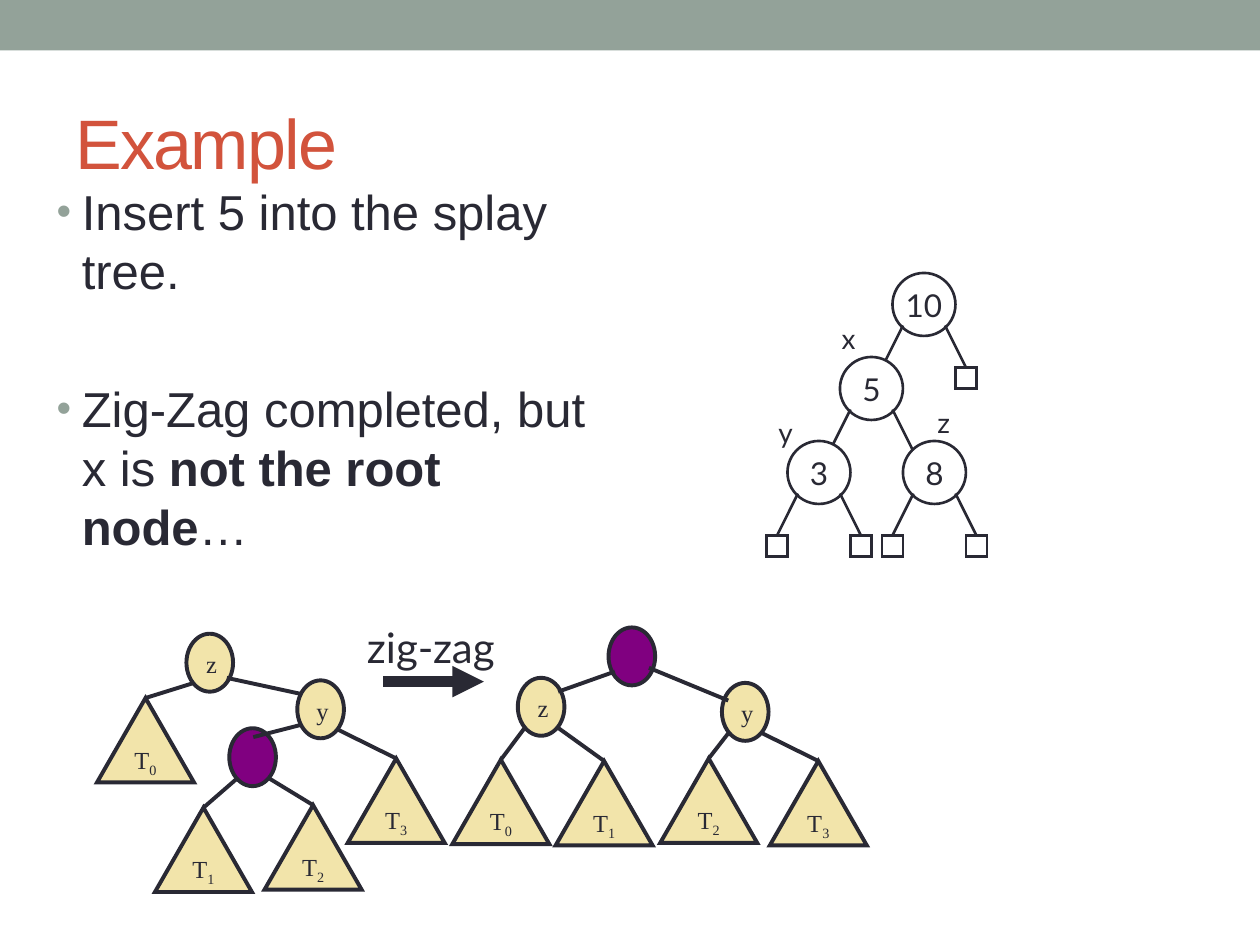
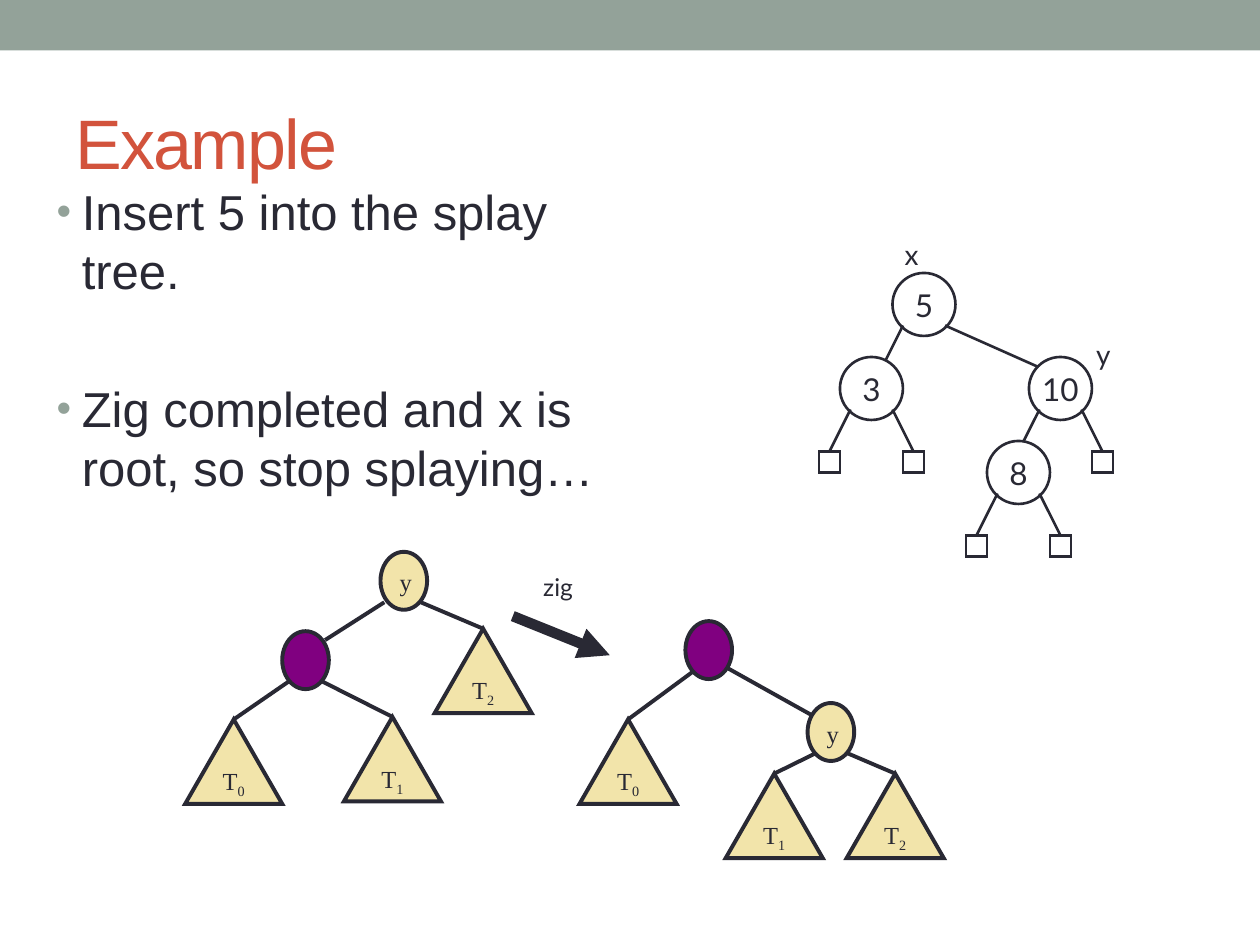
from dataclasses import dataclass
from typing import NamedTuple, Optional

from lxml import etree
from pptx import Presentation
from pptx.dml.color import RGBColor
from pptx.enum.shapes import MSO_CONNECTOR, MSO_SHAPE
from pptx.enum.text import MSO_ANCHOR, MSO_AUTO_SIZE, PP_ALIGN
from pptx.oxml.ns import qn
from pptx.util import Inches, Pt

RECT, OVAL, CONE = MSO_SHAPE.RECTANGLE, MSO_SHAPE.OVAL, MSO_SHAPE.ISOSCELES_TRIANGLE
LINE = MSO_CONNECTOR.STRAIGHT
MIDDLE, TOP = MSO_ANCHOR.MIDDLE, MSO_ANCHOR.TOP
CENTER, LEFT = PP_ALIGN.CENTER, PP_ALIGN.LEFT
FIXED = MSO_AUTO_SIZE.NONE

INK = RGBColor(0x29, 0x29, 0x34)
SAGE = RGBColor(0x93, 0xA2, 0x99)
RUST = RGBColor(0xD2, 0x53, 0x3C)
SAND = RGBColor(0xF2, 0xE4, 0xAA)
PLUM = RGBColor(0x80, 0x00, 0x80)
WHITE = RGBColor(0xFF, 0xFF, 0xFF)

HEAD = {"name": "Arial", "size": Pt(40)}
BODY = {"name": "Arial", "size": Pt(28)}
KEY = {"name": "Lato", "size": Pt(18)}
TAG = {"name": "Lato", "size": Pt(16)}
SERIF = {"name": "Times New Roman", "size": Pt(14)}
INSET = {"margin_left": Inches(0.13), "margin_top": Inches(0.07)}

THIN, THICK, HEAVY = 1.5, 2.25, 6
ROOT = (7 + 1 / 3, 2 + 5 / 12)
RING, LEAF = 0.5, 1 / 6
RISE, DROP = 2 / 3, 0.5
STEP, SIDE, BEND = 1 / 6, 1 / 3, 5 / 12


@dataclass
class Node:
    key: str
    shift: float = 0
    left: Optional["Node"] = None
    right: Optional["Node"] = None


class Label(NamedTuple):
    text: str
    x: float
    y: float
    wide: float
    high: float
    font: dict


class Knob(NamedTuple):
    text: str
    x: float
    y: float


class Sub(NamedTuple):
    index: str
    x: float
    y: float
    start: tuple[float, float]


class Edge(NamedTuple):
    x1: float
    y1: float
    x2: float
    y2: float


@dataclass
class Page:
    points: list
    tree: Node
    labels: list[Label]
    knobs: list[Knob]
    subs: list[Sub]
    edges: list[Edge]
    arrow: Edge


def apply(thing, values: dict) -> None:
    for name, value in values.items():
        setattr(thing, name, value)


def write(para, text: str, font: dict, color: RGBColor = INK):
    run = para.add_run()
    run.text = text
    apply(run.font, font)
    run.font.color.rgb = color
    return run


def center(shape):
    apply(shape.text_frame, {"word_wrap": False, "vertical_anchor": MIDDLE})
    para = shape.text_frame.paragraphs[0]
    para.alignment = CENTER
    return para


def place(shape, x: float, y: float, wide: float, high: float) -> None:
    apply(shape, {"left": Inches(x), "top": Inches(y),
                  "width": Inches(wide), "height": Inches(high)})


def draw(slide, kind, x: float, y: float, wide: float, high: float,
         fill: Optional[RGBColor], width: float = 0):
    shape = slide.shapes.add_shape(kind, Inches(x), Inches(y), Inches(wide), Inches(high))
    shape.shadow.inherit = False
    if fill is None:
        shape.fill.background()
    else:
        shape.fill.solid()
        shape.fill.fore_color.rgb = fill
    if width:
        shape.line.color.rgb = INK
        shape.line.width = Pt(width)
        etree.SubElement(shape.line._get_or_add_ln(), qn("a:miter"), lim="800000")
    else:
        shape.line.fill.background()
    return shape


def link(slide, edge: Edge, width: float, tip: bool = False):
    line = slide.shapes.add_connector(LINE, *(Inches(value) for value in edge))
    line.line.color.rgb = INK
    line.line.width = Pt(width)
    if tip:
        etree.SubElement(line.line._get_or_add_ln(), qn("a:tailEnd"), type="triangle")
    etree.SubElement(line._element.spPr, qn("a:effectLst"))
    return line


def grow(slide, node: Node, x: float, y: float) -> None:
    ring = draw(slide, OVAL, x - RING / 2, y - RING / 2, RING, RING, WHITE, THIN)
    write(center(ring), node.key, KEY)
    for sign, child in ((-1, node.left), (1, node.right)):
        end = x + sign * SIDE
        if child and sign > 0:
            end = x + child.shift - STEP
        line = link(slide, Edge(x + sign * STEP, y + STEP, end, y + DROP), THIN)
        if child:
            grow(slide, child, x + child.shift, y + RISE)
        else:
            leaf = draw(slide, RECT, end - LEAF / 2, y + DROP, LEAF, LEAF, None, THIN)
            line.end_connect(leaf, 0)


def bullet(para) -> None:
    props = para._p.get_or_add_pPr()
    apply(para, {"line_spacing": 1.0, "alignment": LEFT})
    props.set("marL", str(Inches(0.2)))
    props.set("indent", str(-Inches(0.2)))
    tint = etree.SubElement(props, qn("a:buClr"))
    etree.SubElement(tint, qn("a:srgbClr"), val=str(SAGE))
    etree.SubElement(props, qn("a:buSzPct"), val="85000")
    etree.SubElement(props, qn("a:buFont"), typeface="Arial")
    etree.SubElement(props, qn("a:buChar"), char="•")


def frame(slide, points: list) -> None:
    draw(slide, RECT, 0, 0, 10, 0.4, SAGE)
    title, body = slide.placeholders
    place(title, 0.5, 0.58, 9, 1.08)
    place(body, 0.35, 1.39, 4.56, 5.75)
    apply(title.text_frame, {"vertical_anchor": MIDDLE, "auto_size": FIXED})
    apply(body.text_frame, {"vertical_anchor": TOP, "auto_size": FIXED})
    para = title.text_frame.paragraphs[0]
    para.alignment = LEFT
    run = write(para, "Example", HEAD, RUST)
    run._r.get_or_add_rPr().set("spc", "-100")
    for rank, parts in enumerate(points):
        para = body.text_frame.add_paragraph() if rank else body.text_frame.paragraphs[0]
        para.space_before = Pt(45.5 if rank else 0)
        bullet(para)
        for text, bold in parts:
            write(para, text, {**BODY, "bold": bold})


def sketch(slide, page: Page) -> None:
    for knob in page.knobs:
        fill = SAND if knob.text else PLUM
        oval = draw(slide, OVAL, knob.x, knob.y, 0.37, 0.46, fill, THICK)
        if knob.text:
            write(center(oval), knob.text, SERIF)
            apply(oval.text_frame, INSET)
    for sub in page.subs:
        cone = draw(slide, CONE, sub.x, sub.y, 0.77, 0.67, SAND, THICK)
        para = center(cone)
        write(para, "T", SERIF)
        small = write(para, sub.index, SERIF)
        small._r.get_or_add_rPr().set("baseline", "-25000")
        line = link(slide, Edge(*sub.start, sub.x + 0.38, sub.y), THICK)
        line.end_connect(cone, 0)
    for edge in page.edges:
        link(slide, edge, THICK)
    link(slide, page.arrow, HEAVY, True)


def build(deck, page: Page) -> None:
    slide = deck.slides.add_slide(deck.slide_layouts[1])
    frame(slide, page.points)
    grow(slide, page.tree, *ROOT)
    for label in page.labels:
        box = slide.shapes.add_textbox(0, 0, 0, 0)
        place(box, label.x, label.y, label.wide, label.high)
        write(center(box), label.text, label.font)
    sketch(slide, page)


INSERT = [("Insert 5 into the splay tree.", False)]

ZIGZAG = Page(
    points=[INSERT, [("Zig-Zag completed, but x is ", False),
                     ("not the root node", True), ("…", False)]],
    tree=Node("10", left=Node("5", -BEND, Node("3", -BEND), Node("8", 0.5))),
    labels=[
        Label("x", 6.58, 2.5, 0.31, 0.37, TAG),
        Label("z", 7.34, 3.17, 0.3, 0.37, TAG),
        Label("y", 6.08, 3.25, 0.31, 0.37, TAG),
        Label("zig-zag", 2.8, 4.88, 1.24, 0.5, {**TAG, "size": Pt(24)}),
    ],
    knobs=[
        Knob("z", 1.48, 5.03), Knob("y", 2.36, 5.4), Knob("", 1.82, 5.78),
        Knob("", 4.83, 4.98), Knob("z", 4.11, 5.38), Knob("y", 5.73, 5.42),
    ],
    subs=[
        Sub("0", 0.77, 5.54, (1.54, 5.42)),
        Sub("1", 1.23, 6.41, (1.88, 6.18)),
        Sub("2", 2.1, 6.39, (2.14, 6.18)),
        Sub("3", 2.76, 6.02, (2.68, 5.79)),
        Sub("0", 3.59, 6.03, (4.17, 5.77)),
        Sub("1", 4.41, 6.04, (4.42, 5.77)),
        Sub("2", 5.24, 6.02, (5.78, 5.82)),
        Sub("3", 6.11, 6.04, (6.05, 5.82)),
    ],
    edges=[
        Edge(1.8, 5.38, 2.4, 5.51), Edge(2.4, 5.75, 2.01, 5.85),
        Edge(5.78, 5.56, 5.15, 5.3), Edge(4.43, 5.49, 4.88, 5.33),
    ],
    arrow=Edge(3.04, 5.41, 3.84, 5.41),
)

ZIG = Page(
    points=[INSERT, [("Zig completed and x is root, so stop splaying…", False)]],
    tree=Node("5", left=Node("3", -BEND), right=Node("10", 13 / 12, Node("8", -SIDE))),
    labels=[
        Label("x", 7.08, 1.83, 0.31, 0.37, TAG),
        Label("y", 8.6, 2.63, 0.31, 0.37, TAG),
        Label("zig", 4.21, 4.49, 0.44, 0.33, {**TAG, "size": Pt(14)}),
    ],
    knobs=[
        Knob("y", 3.02, 4.38), Knob("", 2.24, 5.01),
        Knob("", 5.44, 4.93), Knob("y", 6.41, 5.58),
    ],
    subs=[
        Sub("0", 1.47, 5.71, (2.29, 5.41)),
        Sub("1", 2.73, 5.69, (2.56, 5.41)),
        Sub("2", 3.45, 4.99, (3.34, 4.78)),
        Sub("0", 4.6, 5.71, (5.5, 5.33)),
        Sub("1", 5.76, 6.14, (6.47, 5.98)),
        Sub("2", 6.72, 6.14, (6.73, 5.98)),
    ],
    edges=[Edge(3.05, 4.78, 2.58, 5.08), Edge(6.45, 5.68, 5.77, 5.3)],
    arrow=Edge(4.07, 4.89, 4.84, 5.2),
)


def main() -> None:
    deck = Presentation()
    apply(deck, {"slide_width": Inches(10), "slide_height": Inches(7.5)})
    for page in (ZIGZAG, ZIG):
        build(deck, page)
    deck.save("out.pptx")


if __name__ == "__main__":
    main()
